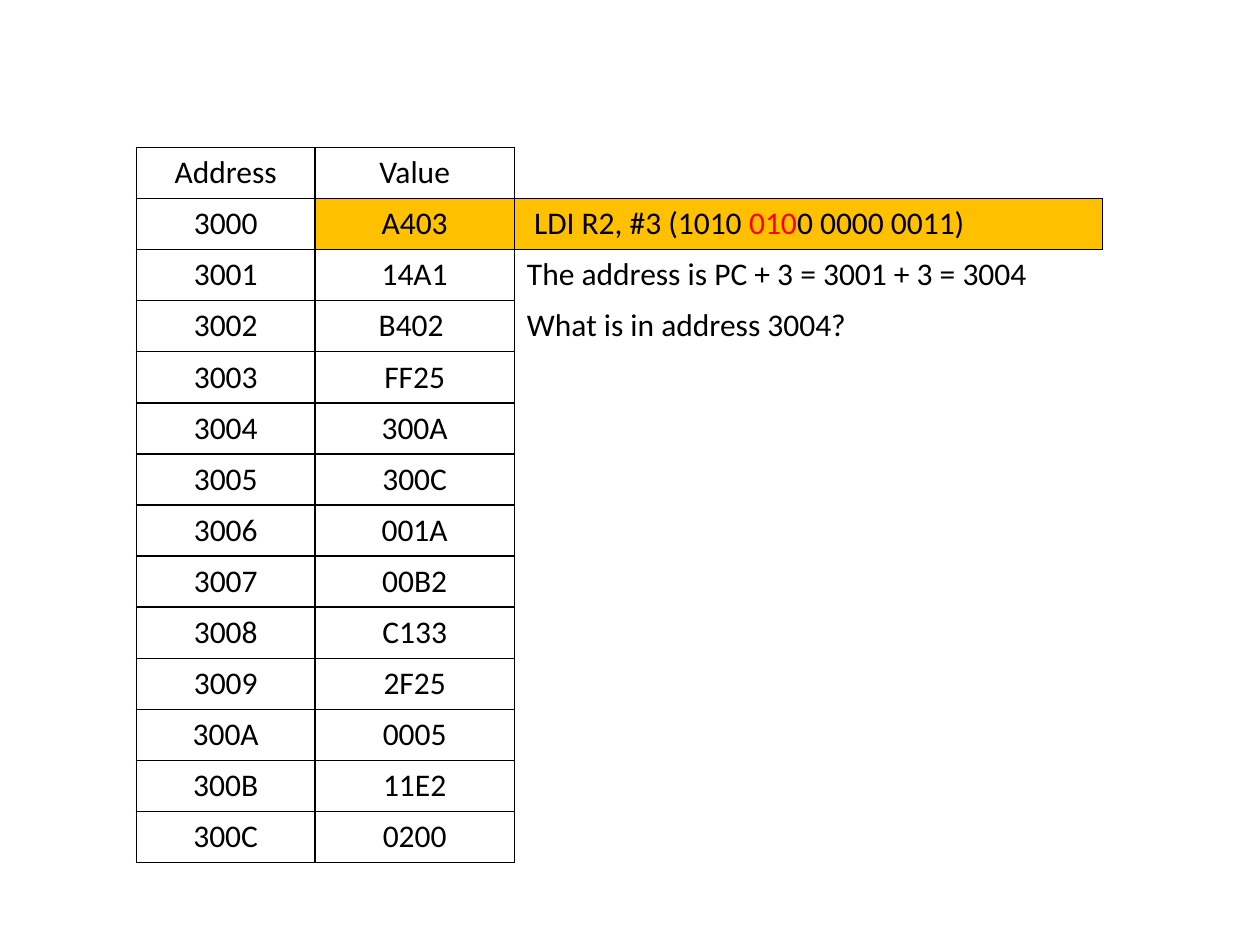
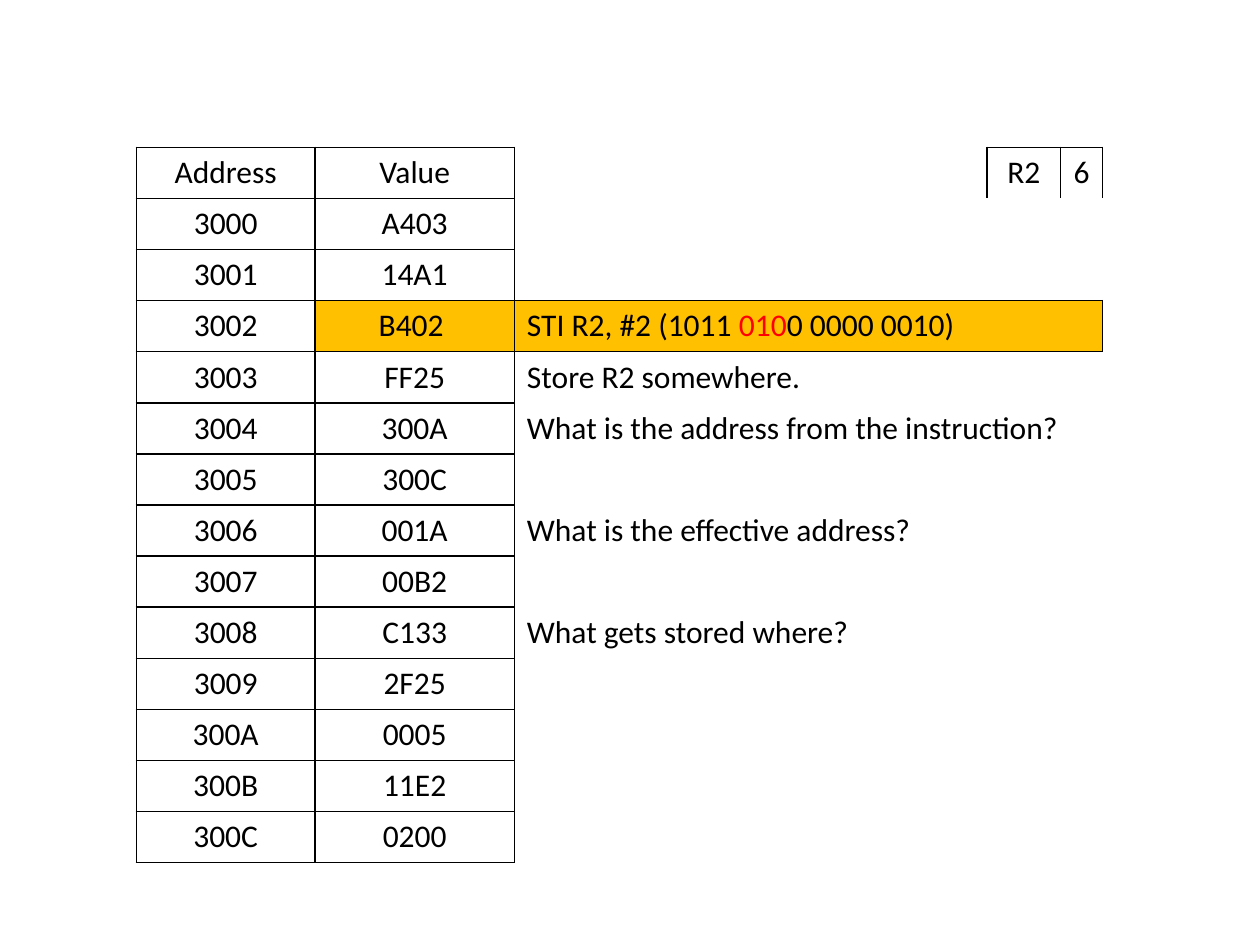
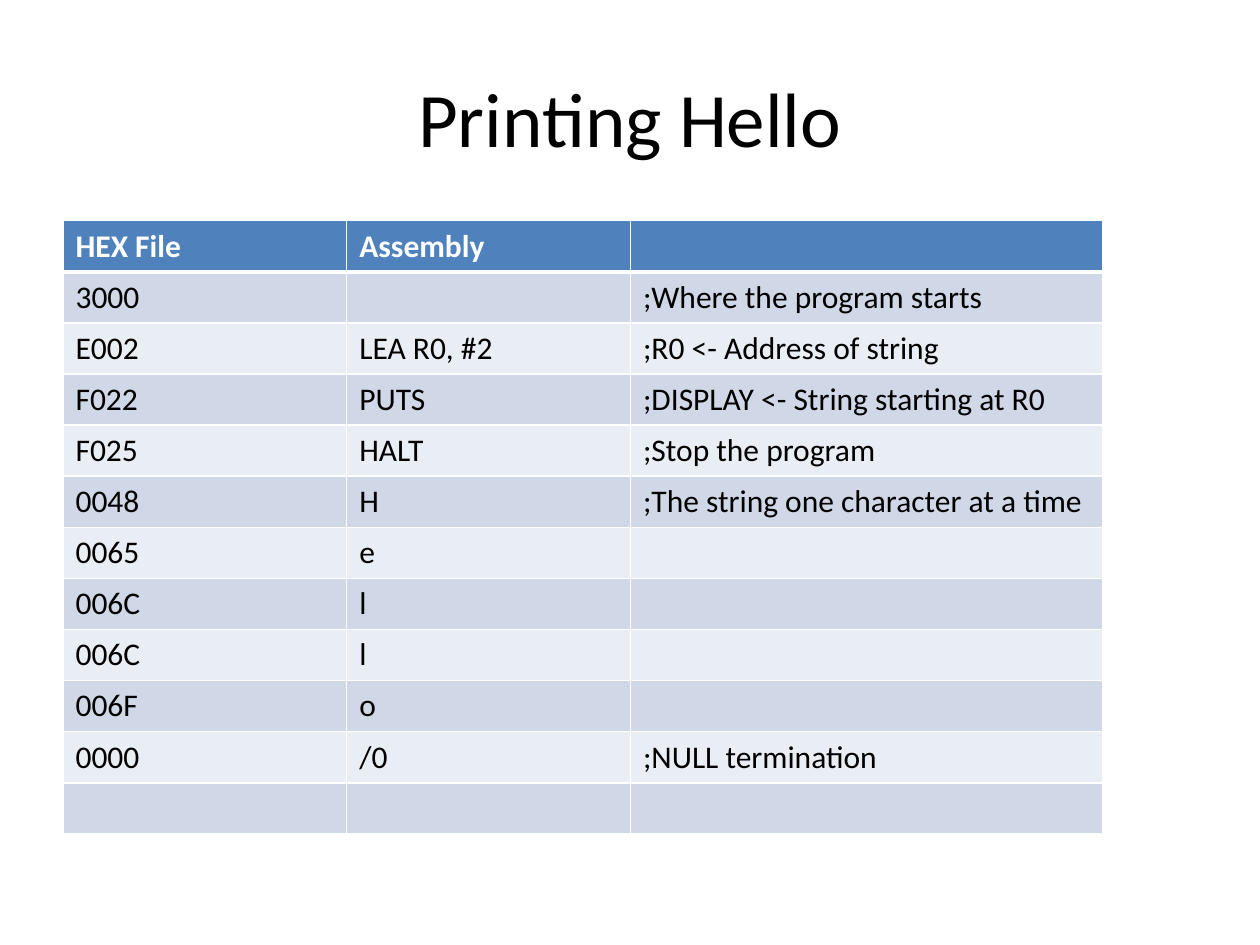
"""Builds three slides on memory tables and a program that prints Hello."""
from dataclasses import dataclass

from lxml import etree
from pptx import Presentation
from pptx import util as u
from pptx.dml import color
from pptx.enum import text
from pptx.oxml import ns


@dataclass(frozen=True)
class Theme:
    font: str = "Calibri"
    title_size: int = 44
    body_size: int = 18
    ink: str = "000000"
    paper: str = "FFFFFF"
    accent: str = "FF0000"
    highlight: str = "FFC000"
    header: str = "4F81BD"
    bands: tuple = ("D0D8E8", "E9EDF4")
    rule: float = 1
    header_rule: float = 3


THEME = Theme()
CENTER = text.PP_ALIGN.CENTER
LEFT = text.PP_ALIGN.LEFT
ROW_HEIGHT = 1.03
TITLE_ONLY, BLANK = 5, 6

MEMORY = [("Address", "Value"), ("3000", "A403"), ("3001", "14A1"),
          ("3002", "B402 "), ("3003", "FF25"), ("3004", "300A"),
          ("3005", "300C"), ("3006", "001A"), ("3007", "00B2"),
          ("3008", "C133"), ("3009", "2F25"), ("300A", "0005"),
          ("300B", "11E2"), ("300C", "0200")]

PROGRAM = [("HEX File", "Assembly", ""),
           ("3000", "", ";Where the program starts"),
           ("E002", "LEA R0, #2", ";R0 <- Address of string"),
           ("F022", "PUTS", ";DISPLAY <- String starting at R0"),
           ("F025", "HALT", ";Stop the program"),
           ("0048", "H", ";The string one character at a time"),
           ("0065", "e", ""), ("006C", "l", ""), ("006C", "l", ""),
           ("006F", "o", ""), ("0000", "/0", ";NULL termination"),
           ("", "", "")]


def write(frame, content, size=THEME.body_size, ink=THEME.ink, bold=False, align=LEFT):
    """Write a string, or pieces of which every second one is accented."""
    pieces = [content] if isinstance(content, str) else content
    paragraph = frame.paragraphs[0]
    paragraph.alignment = align
    for index, piece in enumerate(pieces):
        run = paragraph.add_run()
        run.text = piece
        run.font.name, run.font.size, run.font.bold = THEME.font, u.Pt(size), bold
        run.font.color.rgb = color.RGBColor.from_string(THEME.accent if index % 2 else ink)


class Deck:
    """Holds the presentation, its theme and the current slide."""

    def __init__(self, theme):
        self.theme = theme
        self.show = Presentation()
        self.show.slide_width, self.show.slide_height = u.Cm(25.4), u.Cm(19.05)
        self.slide = None

    def new_slide(self, title=None):
        layout = self.show.slide_layouts[TITLE_ONLY if title else BLANK]
        self.slide = self.show.slides.add_slide(layout)
        if title:
            heading = self.slide.shapes.title
            heading.left, heading.top = u.Cm(1.27), u.Cm(0.76)
            heading.width, heading.height = u.Cm(22.86), u.Cm(3.18)
            heading.text_frame.vertical_anchor = text.MSO_ANCHOR.MIDDLE
            write(heading.text_frame, title, size=self.theme.title_size, align=CENTER)

    def table(self, left, top, widths, row_count):
        grid = self.slide.shapes.add_table(
            row_count, len(widths), u.Cm(left), u.Cm(top),
            u.Cm(sum(widths)), u.Cm(ROW_HEIGHT * row_count)).table
        grid.first_row = grid.horz_banding = False
        for column, width in zip(grid.columns, widths):
            column.width = u.Cm(width)
        for row in grid.rows:
            row.height = u.Cm(ROW_HEIGHT)
        return grid

    def cell(self, cell, content="", fill=None, sides="LRTB", line=None,
             bottom=None, **style):
        self.borders(cell, sides, line or self.theme.ink, bottom or self.theme.rule)
        if fill:
            cell.fill.solid()
            cell.fill.fore_color.rgb = color.RGBColor.from_string(fill)
        else:
            cell.fill.background()
        if content:
            write(cell.text_frame, content, **style)

    def borders(self, cell, sides, line, bottom):
        properties = cell._tc.get_or_add_tcPr()
        for side in "LRTB":
            width = bottom if side == "B" else self.theme.rule
            edge = etree.SubElement(properties, ns.qn(f"a:ln{side}"), w=str(u.Pt(width)))
            if side in sides:
                paint = etree.SubElement(edge, ns.qn("a:solidFill"))
                etree.SubElement(paint, ns.qn("a:srgbClr"), val=line)
            else:
                etree.SubElement(edge, ns.qn("a:noFill"))

    def memory(self, note_widths, current, notes, merged=()):
        """Draw the memory table with notes beside it and one row highlighted."""
        grid = self.table(2.75, 2.97, [3.6, 4.02, *note_widths], len(MEMORY))
        last = len(note_widths) + 1
        for row, (address, value) in enumerate(MEMORY):
            fill = self.theme.highlight if row == current else None
            self.cell(grid.cell(row, 0), address, align=CENTER)
            self.cell(grid.cell(row, 1), value, fill, align=CENTER)
            if row in merged:
                grid.cell(row, 2).merge(grid.cell(row, last))
            rules = {current - 1: "B", current: "TB", current + 1: "TB"}.get(row, "")
            right = "R" if row == current else ""
            for column in range(2, last + 1):
                first = column == 2
                ends = "L" + right if first else right if column == last else ""
                self.cell(grid.cell(row, column), notes.get(row, "") if first else "",
                          fill, rules + ends)
        return grid

    def register(self, grid, name, value):
        """Fill the register box in the top right corner."""
        for column, content in ((3, name), (4, value)):
            corner = grid.cell(0, column)
            properties = corner._tc.get_or_add_tcPr()
            for child in list(properties):
                properties.remove(child)
            self.cell(corner, content, align=CENTER)

    def program(self, rows):
        """Draw the banded listing of a program."""
        grid = self.table(1.27, 4.45, [5.72, 5.72, 9.52], len(rows))
        for row, contents in enumerate(rows):
            look = dict(fill=self.theme.bands[(row - 1) % 2])
            if row == 0:
                look = dict(fill=self.theme.header, ink=self.theme.paper, bold=True,
                            bottom=self.theme.header_rule)
            for column, content in enumerate(contents):
                self.cell(grid.cell(row, column), content, line=self.theme.paper, **look)


def main():
    deck = Deck(THEME)

    deck.new_slide()
    deck.memory([11.86], current=1, notes={
        1: (" LDI R2, #3 (1010 ", "010", "0 0000 0011)"),
        2: "The address is PC + 3 = 3001 + 3 = 3004",
        3: "What is in address 3004?"})

    deck.new_slide()
    grid = deck.memory([9.53, 1.48, 0.85], current=3, merged=range(3, 9), notes={
        3: ("STI R2, #2 (1011 ", "010", "0 0000 0010)"),
        4: "Store R2 somewhere.",
        5: "What is the address from the instruction?",
        7: "What is the effective address?",
        9: "What gets stored where?"})
    deck.register(grid, "R2", "6")

    deck.new_slide("Printing Hello")
    deck.program(PROGRAM)

    deck.show.save("out.pptx")


if __name__ == "__main__":
    main()
